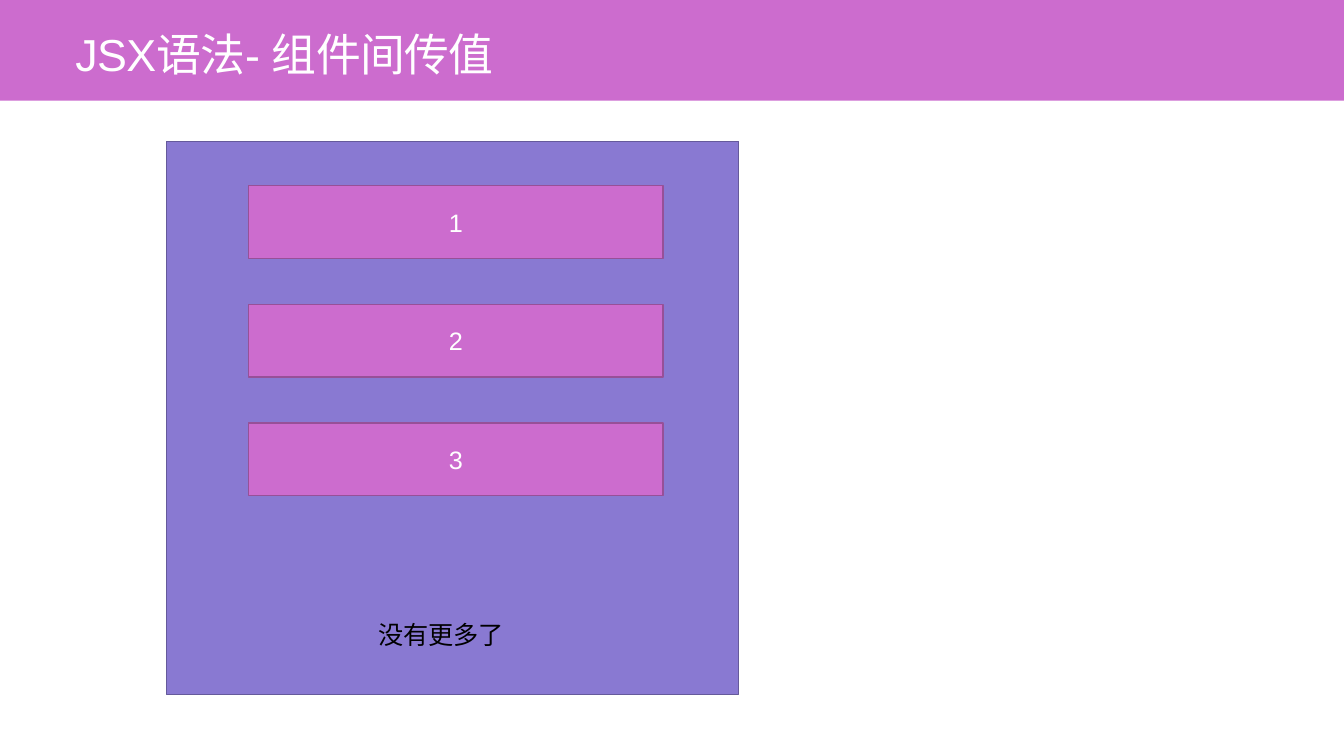
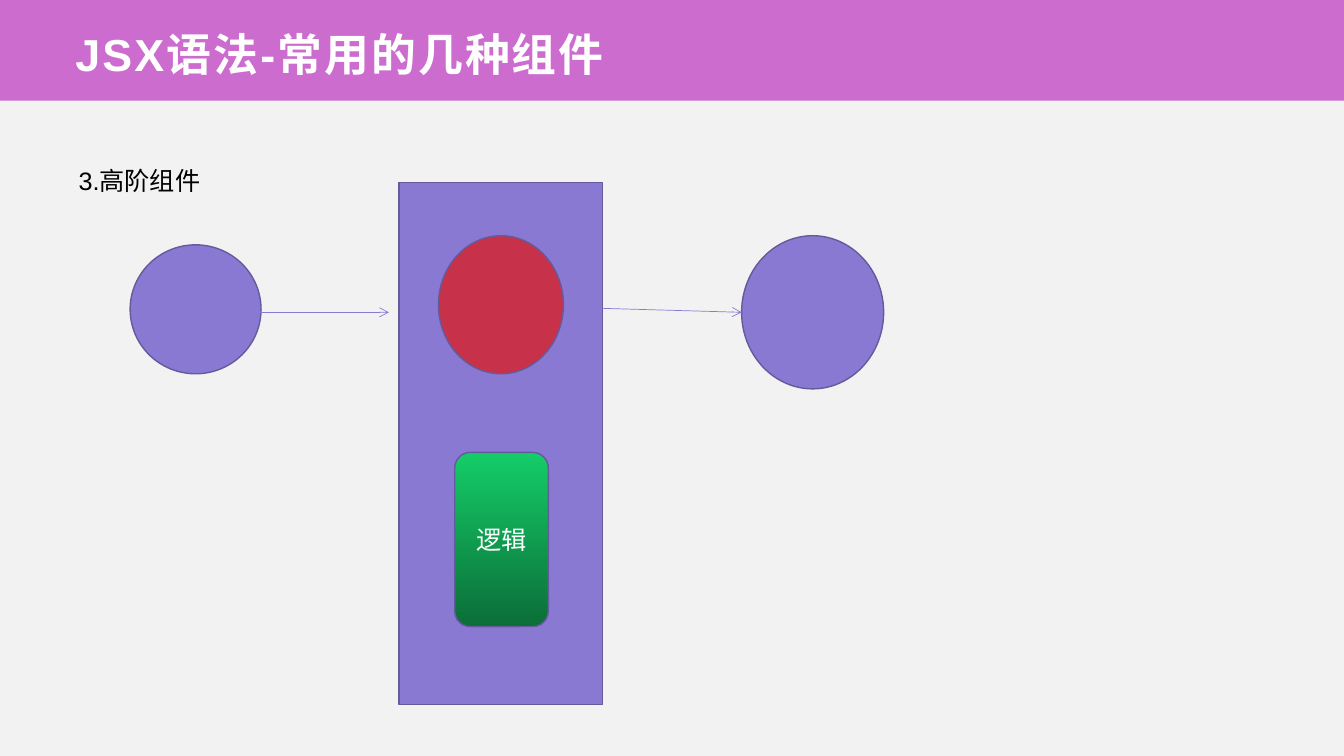
import pptx
import pptx.util
import pptx.dml.color
import pptx.enum.dml
import pptx.enum.lang
import pptx.enum.shapes
import pptx.enum.text
from lxml import etree
import pptx.oxml.ns

Cm, Pt = pptx.util.Cm, pptx.util.Pt
RGBColor = pptx.dml.color.RGBColor
SHAPE = pptx.enum.shapes.MSO_SHAPE
ALIGN = pptx.enum.text.PP_ALIGN
ANCHOR = pptx.enum.text.MSO_ANCHOR
qn = pptx.oxml.ns.qn

WHITE = RGBColor(0xFF, 0xFF, 0xFF)
BLACK = RGBColor(0x00, 0x00, 0x00)
GREY = RGBColor(0xF2, 0xF2, 0xF2)
PINK = RGBColor(0xCC, 0x6C, 0xCE)
PINK_LINE = RGBColor(0x97, 0x50, 0x98)
PURPLE = RGBColor(0x89, 0x79, 0xD2)
PURPLE_LINE = RGBColor(0x65, 0x5A, 0x9B)
RED = RGBColor(0xC8, 0x31, 0x4A)
GREEN = RGBColor(0x14, 0xCD, 0x68)
DARK_GREEN = RGBColor(0x0B, 0x6E, 0x38)


def write(tf, text, size, color, align):
    """Fill a text frame with one formatted paragraph and return its run."""
    tf.text = text
    tf.word_wrap = True
    p = tf.paragraphs[0]
    p.alignment = align
    r = p.runs[0]
    r.font.name = "Arial"
    r.font.size = Pt(size)
    r.font.color.rgb = color
    r.font.language_id = pptx.enum.lang.MSO_LANGUAGE_ID.SIMPLIFIED_CHINESE
    return r


def add_shape(slide, kind, box, fill, line=None, text=None):
    """Add a flat shape; box is left, top, width, height in centimetres."""
    sp = slide.shapes.add_shape(kind, *map(Cm, box))
    sp.shadow.inherit = False
    sp.fill.solid()
    sp.fill.fore_color.rgb = fill
    if line is None:
        sp.line.fill.background()
    else:
        sp.line.color.rgb = line
        sp.line.width = Pt(1)
    if text:
        write(sp.text_frame, text, 18, WHITE, ALIGN.CENTER)
        sp.text_frame.vertical_anchor = ANCHOR.MIDDLE
    return sp


prs = pptx.Presentation()
prs.slide_width, prs.slide_height = Cm(33.87), Cm(19.05)

# Shared layout: title position and a band behind it
layout = prs.slide_layouts.get_by_name("Title Only")
title = layout.placeholders[0]
title.left, title.top, title.width, title.height = Cm(1.7), Cm(0.43), Cm(30.48), Cm(1.7)

slides = []
for text, background, bold, spacing in [
    ("JSX语法- 组件间传值", WHITE, False, -50),
    ("JSX语法-常用的几种组件", GREY, True, 150),
]:
    s = prs.slides.add_slide(layout)
    s.background.fill.solid()
    s.background.fill.fore_color.rgb = background
    tf = s.shapes.title.text_frame
    r = write(tf, text, 32, WHITE, ALIGN.LEFT)
    r.font.bold = bold
    r.font._element.set("spc", str(spacing))
    tf.auto_size = pptx.enum.text.MSO_AUTO_SIZE.NONE
    tf.vertical_anchor = ANCHOR.BOTTOM
    tf.margin_left = tf.margin_right = Cm(0.2)
    tf.margin_top = tf.margin_bottom = Cm(0.1)
    slides.append(s)

values, hoc = slides
band = add_shape(values, SHAPE.RECTANGLE, (0, 0, 33.87, 2.54), PINK)
layout.shapes._spTree.insert(2, band._element)

# Slide 1: list of items in a container
add_shape(values, SHAPE.RECTANGLE, (4.19, 3.56, 14.43, 13.94), PURPLE, PURPLE_LINE)
sp = values.shapes.add_textbox(Cm(4.88), Cm(15.47), Cm(12.47), Cm(1.02))
write(sp.text_frame, "没有更多了", 18, BLACK, ALIGN.CENTER)
for i in range(3):
    add_shape(values, SHAPE.RECTANGLE, (6.27, 4.68 + 2.99 * i, 10.44, 1.83),
              PINK, PINK_LINE, str(i + 1))

# Slide 2: a component passes through a higher-order component
sp = hoc.shapes.add_textbox(Cm(1.73), Cm(4.04), Cm(17.48), Cm(1.8))
write(sp.text_frame, "3.高阶组件", 18, BLACK, ALIGN.LEFT)
for kind, box, fill in [
    (SHAPE.OVAL, (3.28, 6.17, 3.3, 3.25), PURPLE),
    (SHAPE.OVAL, (18.69, 5.94, 3.58, 3.86), PURPLE),
    (SHAPE.RECTANGLE, (10.06, 4.6, 5.13, 13.16), PURPLE),
    (SHAPE.OVAL, (11.05, 5.94, 3.15, 3.48), RED),
]:
    add_shape(hoc, kind, box, fill, PURPLE_LINE)

logic = add_shape(hoc, SHAPE.FLOWCHART_ALTERNATE_PROCESS, (11.46, 11.4, 2.36, 4.39),
                  GREEN, PURPLE_LINE, "逻辑")
logic.fill.gradient()
logic.fill.gradient_angle = 270
for stop, position, color in zip(logic.fill.gradient_stops, (0, 1), (GREEN, DARK_GREEN)):
    stop.position = position
    stop.color.rgb = color

for ends in [(5.49, 7.87, 9.8, 7.87), (15.18, 7.77, 18.69, 7.87)]:
    arrow = hoc.shapes.add_connector(pptx.enum.shapes.MSO_CONNECTOR.STRAIGHT, *map(Cm, ends))
    arrow.line.color.rgb = PURPLE
    arrow.line.width = Pt(0.5)
    etree.SubElement(arrow.line._get_or_add_ln(), qn("a:tailEnd"), type="arrow")
    etree.SubElement(arrow._element.spPr, qn("a:effectLst"))

prs.save("out.pptx")
